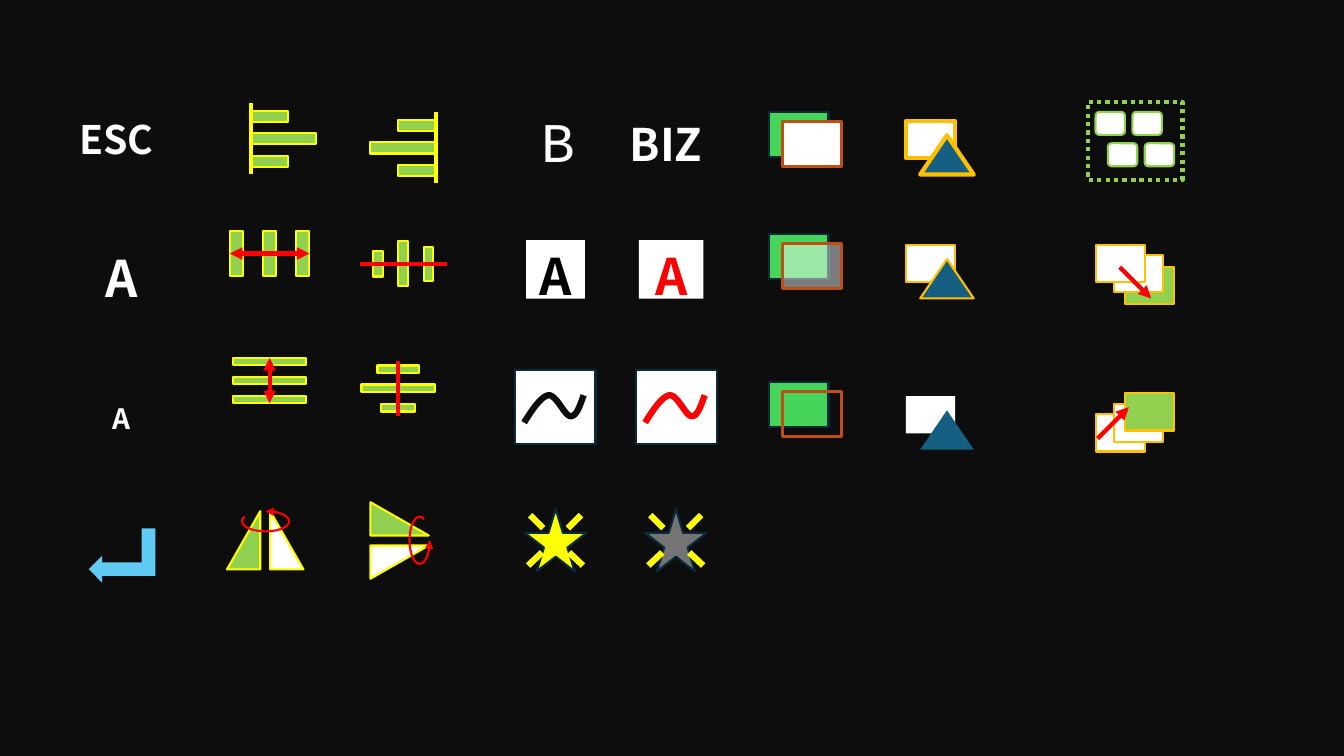
"""Build a dark slide of toolbar icons for editing and arranging objects."""
import lxml.etree
import pptx
import pptx.dml.color
import pptx.enum.dml
import pptx.enum.shapes
import pptx.enum.text
import pptx.oxml.ns
import pptx.util

Cm, Pt, qn = pptx.util.Cm, pptx.util.Pt, pptx.oxml.ns.qn
SHAPE = pptx.enum.shapes.MSO_SHAPE
ALIGN = pptx.enum.text.PP_ALIGN
COLORS = {
    "background": "0D0D0D", "white": "FFFFFF", "black": "000000", "red": "FF0000",
    "yellow": "FFFF00", "lime": "92D050", "green": "47D45A", "sky": "61CBF4",
    "navy": "092A39", "blue": "156082", "gray": "747474", "rust": "C04F15", "gold": "FFC000",
}
SANS, MONO = "Noto Sans CJK JP", "Courier New"


def rgb(name):
    """Return the named colour."""
    return pptx.dml.color.RGBColor.from_string(COLORS[name])


def add_arrowheads(shape, ends):
    """Put triangle arrowheads on the given ends of an outline."""
    outline = shape.line._get_or_add_ln()
    for end in ends:
        lxml.etree.SubElement(outline, qn(f"a:{end}"), type="triangle")


def style(shape, fill=None, line=None, width=1.5):
    """Set fill and outline, and drop the shadow."""
    shape.shadow.inherit = False
    if fill:
        shape.fill.solid()
        shape.fill.fore_color.rgb = rgb(fill)
    else:
        shape.fill.background()
    if line:
        shape.line.color.rgb = rgb(line)
        shape.line.width = Pt(width)
    else:
        shape.line.fill.background()


def add_shape(parent, kind, left, top, width, height, fill=None, line=None, weight=1.5,
              rotation=0, flipped=False, adjustments=()):
    """Add a styled preset shape."""
    shape = parent.shapes.add_shape(kind, Cm(left), Cm(top), Cm(width), Cm(height))
    style(shape, fill, line, weight)
    shape.rotation = rotation
    for index, value in enumerate(adjustments):
        shape.adjustments[index] = value
    if flipped:
        shape.element.spPr.get_or_add_xfrm().set("flipH", "1")
    return shape


def add_line(parent, start, end, color, weight=3, ends=()):
    """Add a straight line between two points."""
    points = [Cm(value) for value in (*start, *end)]
    line = parent.shapes.add_connector(pptx.enum.shapes.MSO_CONNECTOR.STRAIGHT, *points)
    line.line.color.rgb = rgb(color)
    line.line.width = Pt(weight)
    add_arrowheads(line, ends)
    lxml.etree.SubElement(line.element.spPr, qn("a:effectLst"))
    return line


def add_label(slide, text, left, top, width, height, size, color="white", fill=None,
              font=SANS, bold=True, align=ALIGN.CENTER):
    """Add a one-line text box, with a background if a fill is given."""
    box = slide.shapes.add_textbox(Cm(left), Cm(top), Cm(width), Cm(height))
    frame = box.text_frame
    frame.word_wrap = True
    if fill:
        style(box, fill)
    else:
        frame.auto_size = pptx.enum.text.MSO_AUTO_SIZE.SHAPE_TO_FIT_TEXT
    paragraph = frame.paragraphs[0]
    paragraph.text = text
    paragraph.alignment = align
    paragraph.font.name, paragraph.font.size, paragraph.font.bold = font, Pt(size), bold
    paragraph.font.color.rgb = rgb(color)


def add_align_icon(slide, left, top, to_right):
    """Draw bars aligned to a vertical edge."""
    group = slide.shapes.add_group_shape()
    for row, width in enumerate((0.94, 1.65, 0.94)):
        indent = 1.65 - width if to_right else 0
        add_shape(group, SHAPE.RECTANGLE, left + indent, top + 0.2 + 0.57 * row, width, 0.28,
                  "lime", "yellow")
    edge = left + 1.65 if to_right else left
    add_line(group, (edge, top), (edge, top + 1.8), "yellow")


def add_distribute_icon(slide, left, top, width, height, step, horizontal):
    """Draw three evenly spaced bars joined by a double arrow."""
    group = slide.shapes.add_group_shape()
    step_x, step_y = (step, 0) if horizontal else (0, step)
    bars = [add_shape(group, SHAPE.RECTANGLE, left + step_x * index, top + step_y * index,
                      width, height, "lime", "yellow") for index in range(3)]
    arrow = add_line(group, (left, top), (left + width, top + height), "red",
                     ends=("headEnd", "tailEnd"))
    arrow.begin_connect(bars[2], 3 if horizontal else 2)
    arrow.end_connect(bars[0], 1 if horizontal else 0)


def add_centre_icon(slide, left, top, width, height, lengths, step, thickness, horizontal):
    """Draw bars centred on a red axis."""
    group = slide.shapes.add_group_shape()
    middle_x, middle_y = left + width / 2, top + height / 2
    for index, length in enumerate(lengths):
        shift = step * (index - 1)
        x, y = (middle_x + shift, middle_y) if horizontal else (middle_x, middle_y + shift)
        bar_width, bar_height = (thickness, length) if horizontal else (length, thickness)
        add_shape(group, SHAPE.RECTANGLE, x - bar_width / 2, y - bar_height / 2,
                  bar_width, bar_height, "lime", "yellow")
    if horizontal:
        add_line(group, (left + width, middle_y), (left, middle_y), "red")
    else:
        add_line(group, (middle_x, top + height), (middle_x, top), "red")


def add_flip_icon(slide, left, top, mirror_offset, arc_offset, rotation):
    """Draw a triangle, its mirror image and a turning arrow."""
    group = slide.shapes.add_group_shape()
    for (x, y), fill, flipped in (((0, 0), "lime", False), (mirror_offset, "white", True)):
        add_shape(group, SHAPE.ISOSCELES_TRIANGLE, left + x, top + y, 0.84, 1.47, fill, "yellow",
                  rotation=rotation, flipped=flipped, adjustments=(1,))
    arc = add_shape(group, SHAPE.ARC, left + arc_offset[0], top + arc_offset[1], 1.19, 0.51,
                    line="red", rotation=rotation, adjustments=(162, 115.68))
    add_arrowheads(arc, ("headEnd",))


def add_curve_icon(slide, left, top, color):
    """Draw a wavy stroke on a white card."""
    add_shape(slide, SHAPE.RECTANGLE, left, top, 2.03, 1.88, "white", "navy")
    knots = ((0, 0.69), (0.2, 0.36), (0.43, 0.03), (0.61, 0), (0.81, -0.03), (1.02, 0.53),
             (1.17, 0.53), (1.32, 0.53), (1.4, 0.28), (1.5, 0))
    points = [(0, 0.69)]
    for first in (0, 3, 6):
        for t in (index / 12 for index in range(1, 13)):
            weights = ((1 - t) ** 3, 3 * t * (1 - t) ** 2, 3 * t * t * (1 - t), t ** 3)
            points.append(tuple(sum(weight * knot[axis] for weight, knot
                                    in zip(weights, knots[first:first + 4])) for axis in (0, 1)))
    points = [(Cm(left + 0.23 + x), Cm(top + 0.64 + y)) for x, y in points]
    builder = slide.shapes.build_freeform(*points[0])
    builder.add_line_segments(points[1:], close=False)
    style(builder.convert_to_shape(), line=color, width=4.5)


def add_star_icon(slide, left, top, fill):
    """Draw a star with four rays."""
    add_shape(slide, SHAPE.STAR_5_POINT, left, top, 1.55, 1.57, fill, "navy")
    middle = left + 0.77
    for outer_x, outer_y, inner_x, inner_y in ((0.64, 0.15, 0.31, 0.48), (0.69, 1.42, 0.34, 1.09)):
        group = slide.shapes.add_group_shape()
        for side in (-1, 1):
            add_line(group, (middle + side * outer_x, top + outer_y),
                     (middle + side * inner_x, top + inner_y), "yellow", 4.5)


def add_fill_icon(slide, left, top, fill, opacity=None):
    """Draw a rectangle whose fill covers another one."""
    group = slide.shapes.add_group_shape()
    add_shape(group, SHAPE.RECTANGLE, left, top, 1.5, 1.14, "green", "navy")
    front = add_shape(group, SHAPE.RECTANGLE, left + 0.33, top + 0.24, 1.5, 1.14, fill, "rust", 2.25)
    if opacity:
        color = front.element.spPr.find(".//" + qn("a:srgbClr"))
        lxml.etree.SubElement(color, qn("a:alpha"), val=str(opacity * 1000))


def add_outline_icon(slide, left, top, weight):
    """Draw a rectangle and a triangle with the given outline weight."""
    line = "gold" if weight else None
    add_shape(slide, SHAPE.RECTANGLE, left, top, 1.24, 0.94, "white", line, weight)
    add_shape(slide, SHAPE.ISOSCELES_TRIANGLE, left + 0.36, top + 0.36, 1.35, 0.99,
              "blue", line, weight)


def add_group_icon(slide, left, top):
    """Draw four cards inside a dotted frame."""
    group = slide.shapes.add_group_shape()
    frame = add_shape(group, SHAPE.RECTANGLE, left, top, 2.39, 1.96, line="lime", weight=3)
    frame.line.dash_style = pptx.enum.dml.MSO_LINE.ROUND_DOT
    for x, y in ((0.2, 0.25), (0.51, 1.04)):
        for column in range(2):
            add_shape(group, SHAPE.ROUNDED_RECTANGLE, left + x + 0.93 * column, top + y,
                      0.74, 0.58, "white", "lime")


def add_order_icon(slide, left, top, cards, arrow):
    """Draw stacked cards, back to front, and an arrow to the green one."""
    group = slide.shapes.add_group_shape()
    for x, y, fill in cards:
        add_shape(group, SHAPE.RECTANGLE, left + x, top + y, 1.24, 0.94, fill, "gold")
    start, end = [(left + x, top + y) for x, y in arrow]
    add_line(group, start, end, "red", ends=("tailEnd",))


def main():
    """Lay out the icons and save the presentation."""
    presentation = pptx.Presentation()
    presentation.slide_width, presentation.slide_height = Cm(33.87), Cm(19.05)
    slide = presentation.slides.add_slide(presentation.slide_layouts[6])
    slide.background.fill.solid()
    slide.background.fill.fore_color.rgb = rgb("background")

    add_label(slide, "ESC", 1.75, 2.77, 2.62, 1.45, 28, align=ALIGN.LEFT)
    add_label(slide, "A", 1.75, 6.1, 2.62, 1.8, 36)
    add_label(slide, "A", 1.75, 10, 2.62, 1.12, 20)
    add_shape(slide, SHAPE.BENT_UP_ARROW, 2.39, 13.16, 1.37, 1.68, "sky", rotation=270, flipped=True)

    add_align_icon(slide, 6.32, 2.59, to_right=False)
    add_align_icon(slide, 9.33, 2.82, to_right=True)
    add_distribute_icon(slide, 5.79, 5.82, 0.33, 1.14, 0.84, horizontal=True)
    add_distribute_icon(slide, 5.87, 9.02, 1.85, 0.18, 0.48, horizontal=False)
    add_centre_icon(slide, 9.06, 6.08, 2.2, 1.14, (0.64, 1.14, 0.86), 0.64, 0.25, horizontal=True)
    add_centre_icon(slide, 9.11, 9.09, 1.85, 1.4, (1.04, 1.85, 0.86), 0.48, 0.2, horizontal=False)
    add_flip_icon(slide, 5.72, 12.88, (1.09, 0), (0.38, 0), 0)
    add_flip_icon(slide, 9.65, 12.34, (0, 1.09), (0.33, 1.02), 90)

    add_label(slide, "B", 13.39, 2.57, 1.24, 1.96, 40, font=MONO, bold=False, align=ALIGN.LEFT)
    add_label(slide, "BIZ", 15.62, 2.82, 2.62, 1.63, 32, align=ALIGN.LEFT)
    add_label(slide, "A", 13.26, 6.05, 1.48, 1.48, 36, "black", "white")
    add_label(slide, "A", 16.1, 6.05, 1.63, 1.48, 36, "red", "white")
    for left, color in ((12.98, "background"), (16.03, "red")):
        add_curve_icon(slide, left, 9.32, color)
    for left, fill in ((13.23, "yellow"), (16.26, "gray")):
        add_star_icon(slide, left, 12.83, fill)

    for top, fill, opacity in ((2.82, "white", None), (5.89, "white", 46), (9.63, None, None)):
        add_fill_icon(slide, 19.38, top, fill, opacity)
    for top, weight in ((3.05, 3), (6.17, 1.5), (9.98, 0)):
        add_outline_icon(slide, 22.83, top, weight)

    add_group_icon(slide, 27.41, 2.57)
    add_order_icon(slide, 27.61, 6.17, ((0.74, 0.56, "lime"), (0.46, 0.25, "white"), (0, 0, "white")),
                   ((0.61, 0.56), (1.4, 1.35)))
    add_order_icon(slide, 27.61, 9.91, ((0, 0.53, "white"), (0.46, 0.28, "white"), (0.74, 0, "lime")),
                   ((0.05, 1.14), (0.84, 0.35)))
    presentation.save("out.pptx")


if __name__ == "__main__":
    main()
